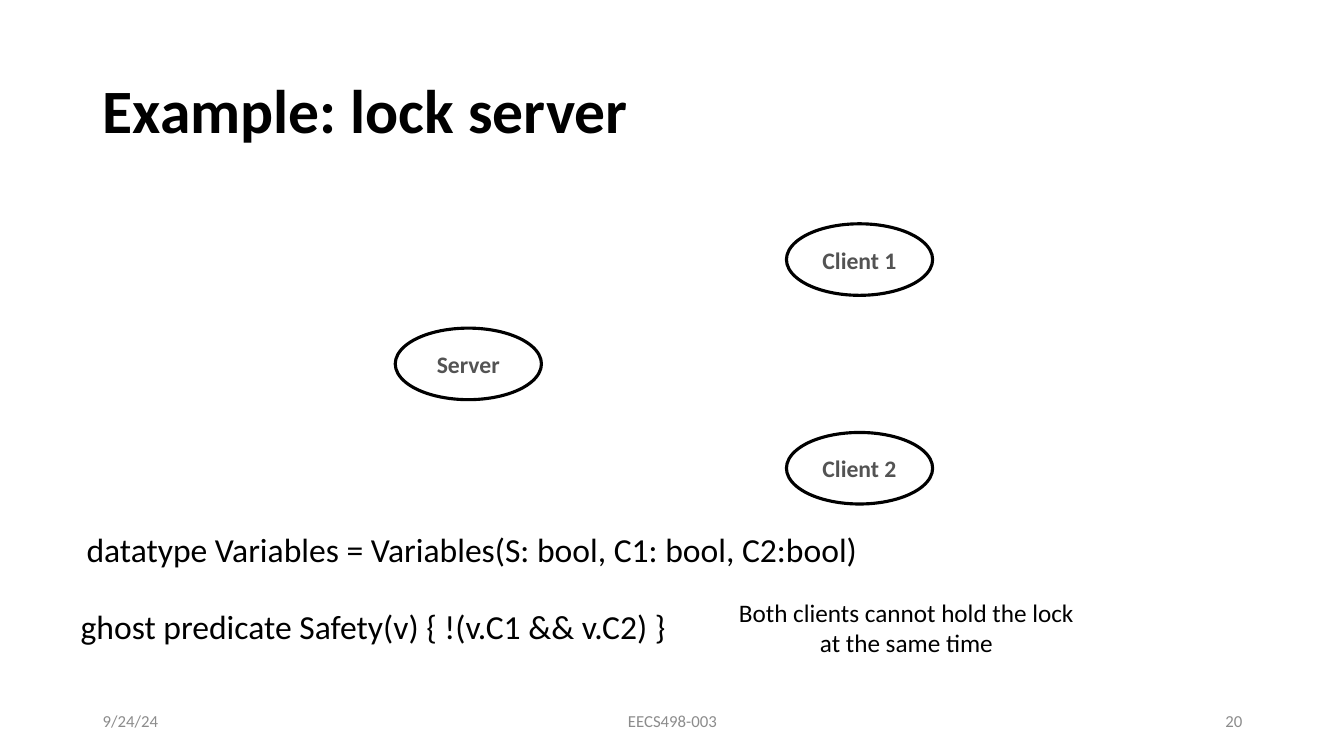
"""Build the lock server example slide."""
from pptx import Presentation
from pptx.dml.color import RGBColor as Rgb
from pptx.enum.shapes import MSO_SHAPE as Form
from pptx.enum.text import MSO_ANCHOR as Anchor, PP_ALIGN as Align
from pptx.util import Inches, Pt

WIDE, HIGH = 13.33, 7.5
COLORS = {"ink": "000000", "node": "535353", "foot": "8C8C8C", "paper": "FFFFFF"}
TITLE = "Example: lock server"
NODES = [("Server", 0, 1), ("Client 1", 1, 0), ("Client 2", 1, 2)]
LINES = [
    ("datatype Variables = Variables(S: bool, C1: bool, C2:bool)",
     (0.76, 5.2, 9.88, 0.5), {"size": 24, "pad": (0.1, 0.05)}),
    ("ghost predicate Safety(v) { !(v.C1 && v.C2) }",
     (0.76, 5.97, 6.45, 0.48), {"size": 24, "pad": (0.04, 0.04)}),
    ("Both clients cannot hold the lock at the same time",
     (7.22, 5.87, 3.54, 0.71), {"size": 18, "align": Align.CENTER}),
]
FOOT = [("9/24/24", 3, Align.LEFT), ("EECS498-003", 4.5, Align.CENTER),
        ("20", 3, Align.RIGHT)]
EDGE, BODY = 0.92, 11.5
NODE_W, NODE_H = 1.45, 0.71
NODE_X, NODE_Y = 3.92, 2.22
STEP_X, STEP_Y = 3.88, 1.035


def color(name):
    return Rgb.from_string(COLORS[name])


def place(shape, box):
    shape.left, shape.top, shape.width, shape.height = map(Inches, box)


def write(shape, text, size=18, ink="ink", bold=False, align=Align.LEFT,
          pad=(0.1, 0.05)):
    frame = shape.text_frame
    frame.word_wrap = True
    frame.vertical_anchor = Anchor.MIDDLE
    frame.margin_left = frame.margin_right = Inches(pad[0])
    frame.margin_top = frame.margin_bottom = Inches(pad[1])
    para = frame.paragraphs[0]
    para.alignment = align
    run = para.add_run()
    run.text = text
    font = run.font
    font.name, font.size, font.bold = "Calibri", Pt(size), bold
    font.color.rgb = color(ink)
    return para


def add_node(slide, name, col, row):
    box = (NODE_X + col * STEP_X, NODE_Y + row * STEP_Y, NODE_W, NODE_H)
    node = slide.shapes.add_shape(Form.OVAL, *map(Inches, box))
    node.shadow.inherit = False
    node.fill.solid()
    node.fill.fore_color.rgb = color("paper")
    node.line.color.rgb = color("ink")
    node.line.width = Pt(2.25)
    write(node, name, size=16.9, ink="node", bold=True, align=Align.CENTER,
          pad=(0.04, 0.04))


def add_text(slide, text, box, **style):
    write(slide.shapes.add_textbox(*map(Inches, box)), text, **style)


def main():
    deck = Presentation()
    deck.slide_width, deck.slide_height = Inches(WIDE), Inches(HIGH)
    slide = deck.slides.add_slide(deck.slide_layouts[5])
    title = slide.shapes.title
    place(title, (EDGE, 0.4, BODY, 1.45))
    write(title, TITLE, size=44, bold=True).line_spacing = 0.9
    for name, col, row in NODES:
        add_node(slide, name, col, row)
    for text, box, style in LINES:
        add_text(slide, text, box, **style)
    gap = (BODY - sum(width for _, width, _ in FOOT)) / (len(FOOT) - 1)
    left = EDGE
    for text, width, align in FOOT:
        add_text(slide, text, (left, 6.95, width, 0.4), size=12, ink="foot",
                 align=align)
        left += width + gap
    deck.save("out.pptx")


if __name__ == "__main__":
    main()
